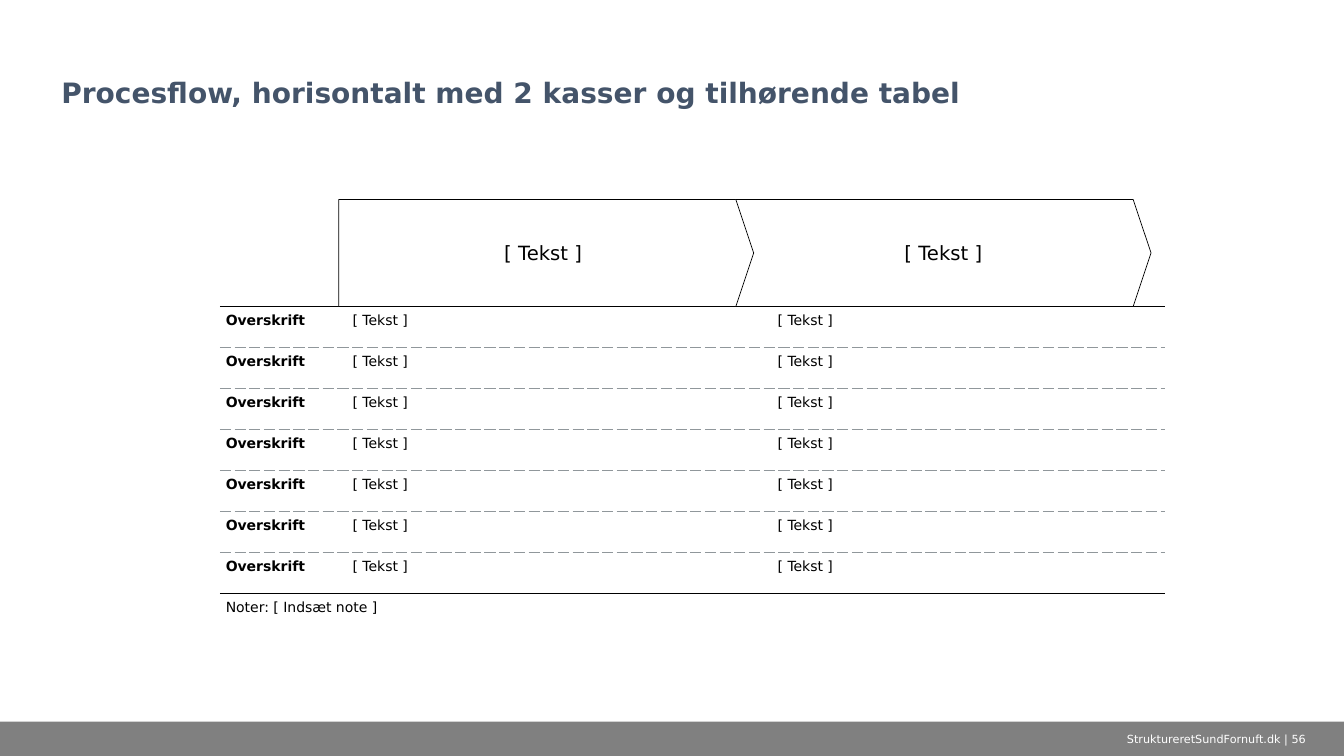
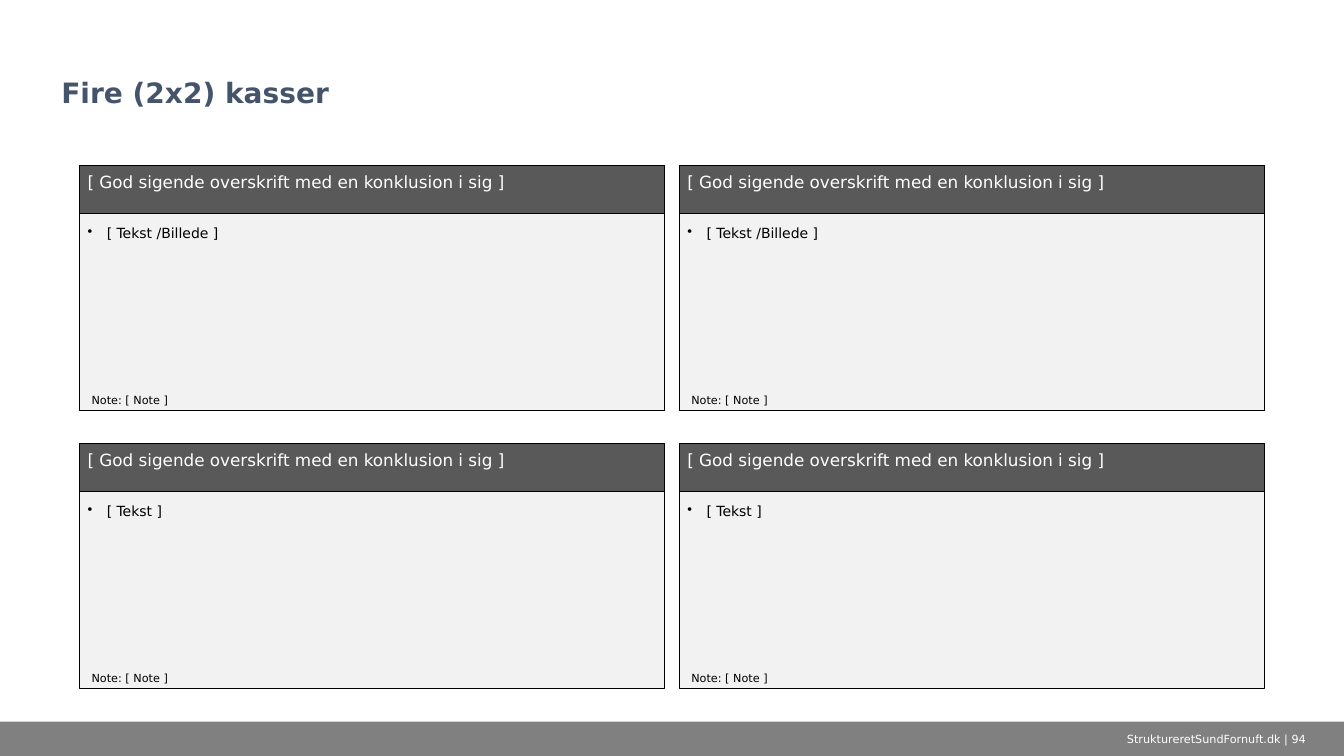
import lxml.etree
import pptx
import pptx.dml.color
import pptx.enum.shapes
import pptx.enum.text
import pptx.oxml.ns
import pptx.util

Pt = pptx.util.Pt
RGBColor = pptx.dml.color.RGBColor
SHAPE = pptx.enum.shapes.MSO_SHAPE
ALIGN = pptx.enum.text.PP_ALIGN
ANCHOR = pptx.enum.text.MSO_ANCHOR
qn = pptx.oxml.ns.qn

FONT = "DejaVu Sans"
BLACK = RGBColor(0x00, 0x00, 0x00)
WHITE = RGBColor(0xFF, 0xFF, 0xFF)
TITLE_BLUE = RGBColor(0x44, 0x54, 0x6A)
BAND_GREY = RGBColor(0x80, 0x80, 0x80)
HEADER_GREY = RGBColor(0x59, 0x59, 0x59)
BODY_GREY = RGBColor(0xF2, 0xF2, 0xF2)
RULE_GREY = RGBColor(0x90, 0x97, 0x9B)

SLIDE_WIDTH, SLIDE_HEIGHT = 960, 540
BAND_TOP = 515.5
NO_GRID_STYLE = "{2D5ABB26-0587-4C30-8999-92F81FD0307C}"


def write(text_frame, text, size=10, color=BLACK, bold=False, align=ALIGN.LEFT,
          anchor=ANCHOR.TOP, margins=None, line_spacing=None, bullet_indent=None):
    """Fill a text frame with one paragraph; margins are left, top, right, bottom."""
    text_frame.word_wrap = True
    text_frame.vertical_anchor = anchor
    if margins:
        (text_frame.margin_left, text_frame.margin_top,
         text_frame.margin_right, text_frame.margin_bottom) = map(Pt, margins)
    paragraph = text_frame.paragraphs[0]
    paragraph.alignment = align
    if line_spacing:
        paragraph.line_spacing = line_spacing
    if bullet_indent:
        properties = paragraph._p.get_or_add_pPr()
        properties.set("marL", str(Pt(bullet_indent)))
        properties.set("indent", str(-Pt(bullet_indent)))
        lxml.etree.SubElement(properties, qn("a:buChar")).set("char", "•")
    run = paragraph.add_run()
    run.text = text
    run.font.name = FONT
    run.font.size = Pt(size)
    run.font.bold = bold
    run.font.color.rgb = color


def add_box(slide, kind, left, top, width, height, fill, line=BLACK):
    shape = slide.shapes.add_shape(kind, Pt(left), Pt(top), Pt(width), Pt(height))
    shape.shadow.inherit = False
    shape.fill.solid()
    shape.fill.fore_color.rgb = fill
    if line is None:
        shape.line.fill.background()
    else:
        shape.line.color.rgb = line
        shape.line.width = Pt(0.5)
    return shape


presentation = pptx.Presentation()
presentation.slide_width = Pt(SLIDE_WIDTH)
presentation.slide_height = Pt(SLIDE_HEIGHT)

# Shared band, title and footer
slides = []
for title, number in [
    ("Procesflow, horisontalt med 2 kasser og tilhørende tabel", 56),
    ("Fire (2x2) kasser", 94),
]:
    slide = presentation.slides.add_slide(presentation.slide_layouts[6])
    slides.append(slide)
    add_box(slide, SHAPE.RECTANGLE, 0, BAND_TOP, SLIDE_WIDTH,
            SLIDE_HEIGHT - BAND_TOP, BAND_GREY, line=None)
    title_box = slide.shapes.add_textbox(Pt(36.7), Pt(12.2), Pt(886.3), Pt(69.8))
    write(title_box.text_frame, title, size=20, color=TITLE_BLUE, bold=True,
          anchor=ANCHOR.BOTTOM, line_spacing=0.9)
    footer = slide.shapes.add_textbox(Pt(778.3), Pt(BAND_TOP), Pt(181.4), Pt(24.5))
    write(footer.text_frame, f"StruktureretSundFornuft.dk | {number}", size=8,
          color=WHITE, align=ALIGN.CENTER, anchor=ANCHOR.MIDDLE)

flow_slide, boxes_slide = slides

# Table under the process flow
COLUMN_WIDTHS = [79.2, 5.4, 280.8, 2.9, 2.9, 280.8]
ROW_HEIGHT = 29.28
HEADING_ROWS = 7
TABLE_LEFT, TABLE_TOP = 157, 218.9
CELL_MARGIN = 4.3
row_texts = [{0: "Overskrift", 2: "[ Tekst ]", 5: "[ Tekst ]"}] * HEADING_ROWS
row_texts.append({0: "Noter: [ Indsæt note ]"})

table_frame = flow_slide.shapes.add_table(
    len(row_texts), len(COLUMN_WIDTHS), Pt(TABLE_LEFT), Pt(TABLE_TOP),
    Pt(sum(COLUMN_WIDTHS)), Pt(ROW_HEIGHT * len(row_texts)))
table = table_frame.table
table.first_row = False
table.horz_banding = False
next(table_frame.element.iter(qn("a:tableStyleId"))).text = NO_GRID_STYLE
for column, width in zip(table.columns, COLUMN_WIDTHS):
    column.width = Pt(width)
for row in table.rows:
    row.height = Pt(ROW_HEIGHT)
table.cell(HEADING_ROWS, 0).merge(table.cell(HEADING_ROWS, len(COLUMN_WIDTHS) - 1))

for row_index, texts in enumerate(row_texts):
    # Each row has a rule above and below; the note row has none below
    edges = [("a:lnT", row_index), ("a:lnB", row_index + 1)]
    for column_index in range(len(COLUMN_WIDTHS)):
        cell = table.cell(row_index, column_index)
        cell.margin_left = cell.margin_right = Pt(CELL_MARGIN)
        cell.margin_top = cell.margin_bottom = Pt(0)
        if column_index in texts:
            cell.margin_top = cell.margin_bottom = Pt(CELL_MARGIN)
            write(cell.text_frame, texts[column_index],
                  bold=column_index == 0 and row_index < HEADING_ROWS)
        cell_properties = cell._tc.get_or_add_tcPr()
        for tag, rule_index in edges:
            if rule_index > HEADING_ROWS:
                continue
            outer = rule_index in (0, HEADING_ROWS)
            border = lxml.etree.SubElement(cell_properties, qn(tag), w=str(Pt(0.25)))
            fill = lxml.etree.SubElement(border, qn("a:solidFill"))
            lxml.etree.SubElement(fill, qn("a:srgbClr"),
                                  val=str(BLACK if outer else RULE_GREY))
            lxml.etree.SubElement(border, qn("a:prstDash"),
                                  val="solid" if outer else "dash")
        cell.fill.background()

# Process steps
STEP_TOP, STEP_HEIGHT = 142.5, 76.4
for kind, left, width, point in [
    (SHAPE.PENTAGON, 241.9, 298, 0.152),
    (SHAPE.CHEVRON, 525.6, 296.6, 0.167),
]:
    step = add_box(flow_slide, kind, left, STEP_TOP, width, STEP_HEIGHT, WHITE)
    step.adjustments[0] = point
    write(step.text_frame, "[ Tekst ]", size=14, align=ALIGN.CENTER,
          anchor=ANCHOR.MIDDLE)

# Two by two boxes
GRID_LEFT, GRID_TOP = 56.9, 118
COLUMN_PITCH, ROW_PITCH = 428.4, 198.6
BOX_WIDTH, HEADER_HEIGHT, BODY_HEIGHT = 417.6, 34.5, 160.6
BODY_OFFSET = 14.4
for row_index, body_text in enumerate(["[ Tekst /Billede ]", "[ Tekst ]"]):
    for column_index in range(2):
        left = GRID_LEFT + column_index * COLUMN_PITCH
        top = GRID_TOP + row_index * ROW_PITCH
        body = add_box(boxes_slide, SHAPE.RECTANGLE, left, top + BODY_OFFSET,
                       BOX_WIDTH, BODY_HEIGHT, BODY_GREY)
        write(body.text_frame, body_text, margins=(5.7, 27.8, 5.7, 4.3),
              bullet_indent=13.7)
        header = add_box(boxes_slide, SHAPE.RECTANGLE, left, top,
                         BOX_WIDTH, HEADER_HEIGHT, HEADER_GREY)
        write(header.text_frame, "[ God sigende overskrift med en konklusion i sig ]",
              size=12, color=WHITE, margins=(5.7, 4.3, 5.7, 4.3))
        note = boxes_slide.shapes.add_textbox(Pt(left + 8.5), Pt(top + 163.2),
                                              Pt(320.4), Pt(9.4))
        write(note.text_frame, "Note: [ Note ]", size=8, margins=(0, 0, 0, 0))
        note.text_frame.auto_size = pptx.enum.text.MSO_AUTO_SIZE.SHAPE_TO_FIT_TEXT

presentation.save("out.pptx")
